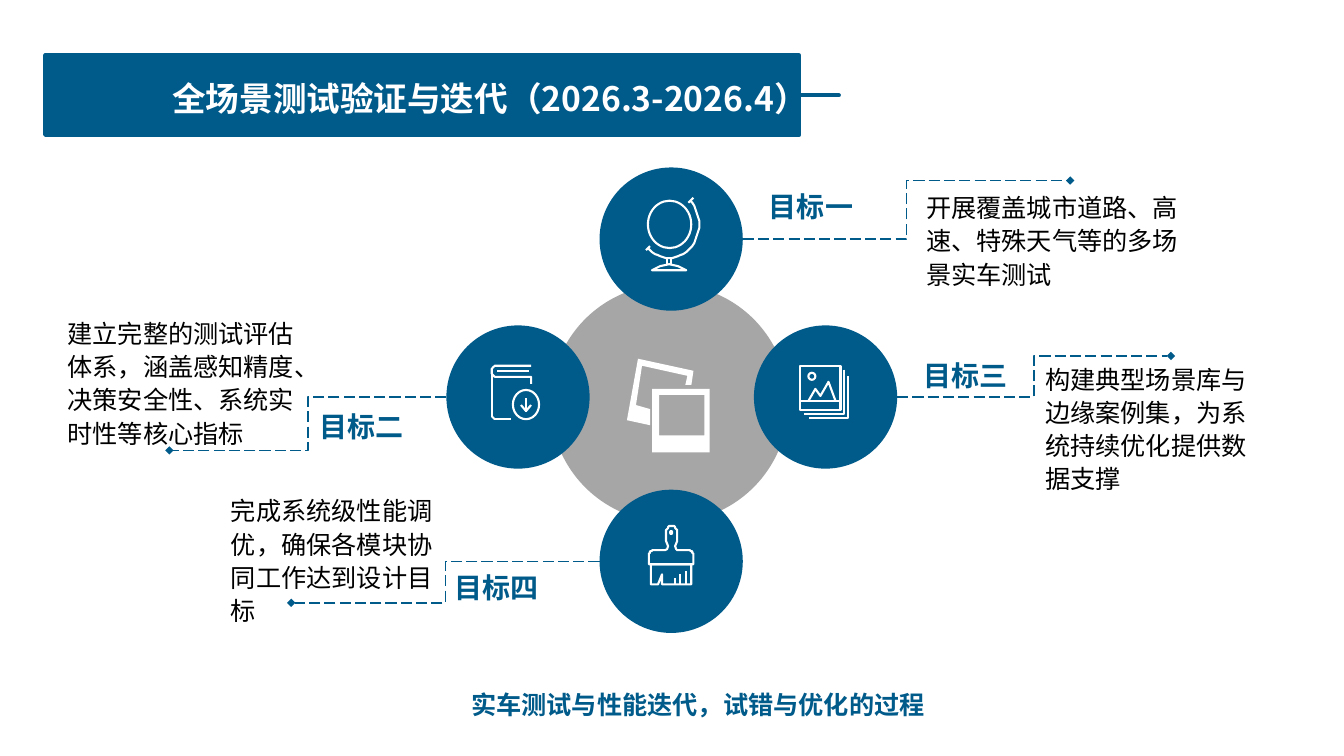
from math import cos, radians, sin

from lxml import etree
from pptx import Presentation
from pptx import util as u
from pptx.dml import color
from pptx.enum import dml, shapes, text
from pptx.oxml import ns

COLORS = {"blue": "005A8A", "grey": "A6A6A6", "white": "FFFFFF", "black": "000000"}
FONT = "Noto Sans CJK SC"
GRID = u.Cm(2.54) / 100  # unit of the icon drawings
CIRCLE = 3.61
HUB = 6.0

TITLE_STYLE = {"size": u.Pt(24), "bold": True}
LABEL_STYLE = {"size": u.Pt(20), "bold": True}
DETAIL_STYLE = {"size": u.Pt(18), "bold": False}
CAPTION_STYLE = {"size": u.Pt(18), "bold": True}


def rgb(name):
    return color.RGBColor.from_string(COLORS[name])


def arc(cx, cy, rx, ry, start, end, steps=16):
    """Points along an ellipse; degrees run clockwise from the right."""
    angles = [radians(start + (end - start) * i / steps) for i in range(steps + 1)]
    return [(cx + rx * cos(a), cy + ry * sin(a)) for a in angles]


# Strokes: (kind, geometry), measured in grid units from the circle's corner
GLOBE = [
    ("open", [(67, 90), (67, 96)]),
    ("open", [(71, 90), (71, 96)]),
    ("closed", [(86, 102), (78, 98), (69, 96), (60, 98), (52, 102)]),
    ("oval", (48, 33, 43, 47)),
    ("open", arc(69, 56.5, 29.7, 33.2, -45, 135, 32)),
    ("open", [(46, 82), (50, 78)]),
    ("open", [(88, 35), (93, 30)]),
]
BOOK = [
    ("open", [(64, 93), *arc(49, 89, 4, 4, 90, 180), (45, 45)]),
    ("open", [(50, 45), (82, 45)]),
    ("open", [(84, 40), *arc(50, 45.5, 5, 5.5, 270, 90), (84, 51), (84, 58)]),
    ("open", [(79, 85), (79, 72)]),
    ("open", [(74, 79), (79, 85), (84, 79)]),
    ("oval", (66, 64, 26, 29)),
]
GALLERY = [
    ("open", [(93, 50), (93, 92), (55, 92)]),
    ("open", [(89, 44), (89, 88), (50, 88)]),
    ("rect", (46, 40, 40, 44)),
    ("open", [(81, 75), (74, 56), (66, 70), (61, 63), (54, 75)]),
    ("oval", (54, 47, 7, 7)),
    ("open", [(86, 75), (46, 75)]),
]
BRUSH = [
    ("closed", [(77, 60), (76, 59), (75, 56), (77, 51), *arc(71.5, 42, 5.5, 6, 0, -180),
                (66, 51), (68, 56), (67, 59), (65, 60), *arc(54, 65, 5, 5, 270, 180),
                (49, 74), (93, 74), *arc(88, 65, 5, 5, 0, -90)]),
    ("closed", [(91, 94), (62, 94), (62, 84), (58, 94), (51, 94), (51, 74), (91, 74)]),
    *[("open", [(x, top), (x, 94)]) for x, top in ((86, 81), (80, 84), (75, 88))],
    ("oval", (70, 41, 2, 3)),
]
PHOTOS = [
    [[(158, 167), (101, 167), (101, 104), (158, 104)],
     [(108, 150), (153, 150), (153, 110), (108, 110)]],
    [[(87, 74), (142, 86), (140, 100), (134, 100), (136, 91), (91, 81),
      (85, 120), (99, 124), (99, 140), (76, 135)]],
]

# circle corner; then label, detail (left, top, width) and leader end from that corner
GOALS = [
    {"circle": (15.11, 4.22), "icon": GLOBE, "label": "目标一", "label_at": (4.04, 0.43),
     "detail": "开展覆盖城市道路、高速、特殊天气等的多场景实车测试",
     "detail_at": (8, 0.43, 7.14), "leader_end": (11.86, 0.33)},
    {"circle": (11.25, 8.2), "icon": BOOK, "label": "目标二", "label_at": (-3.43, 1.99),
     "detail": "建立完整的测试评估体系，涵盖感知精度、决策安全性、系统实时性等核心指标",
     "detail_at": (-9.78, -0.38, 6.6), "leader_end": (-6.98, 3.15)},
    {"circle": (19, 8.2), "icon": GALLERY, "label": "目标三", "label_at": (4.04, 0.72),
     "detail": "构建典型场景库与边缘案例集，为系统持续优化提供数据支撑",
     "detail_at": (7.11, 0.77, 5.64), "leader_end": (10.51, 0.77)},
    {"circle": (15.11, 12.34), "icon": BRUSH, "label": "目标四", "label_at": (-3.88, 1.91),
     "detail": "完成系统级性能调优，确保各模块协同工作达到设计目标",
     "detail_at": (-9.52, -0.05, 6.1), "leader_end": (-7.77, 2.85)},
]


def paint(part, fill=None, line=None, width=1.5):
    part.shadow.inherit = False
    if fill:
        part.fill.solid()
        part.fill.fore_color.rgb = rgb(fill)
    else:
        part.fill.background()
    if line:
        part.line.color.rgb = rgb(line)
        part.line.width = u.Pt(width)
    else:
        part.line.fill.background()


def paint_connector(connector, ink, width):
    connector.line.color.rgb = rgb(ink)
    connector.line.width = u.Pt(width)
    etree.SubElement(connector.element.spPr, ns.qn("a:effectLst"))


def outline(canvas, contours, left, top, closed=True, scale=GRID):
    first, *holes = contours
    builder = canvas.build_freeform(*first[0], scale=scale)
    builder.add_line_segments(first[1:], close=closed)
    for hole in holes:
        builder.move_to(*hole[0])
        builder.add_line_segments(hole[1:], close=closed)
    return builder.convert_to_shape(u.Cm(left), u.Cm(top))


def write(box, words, ink, style, **paragraph_format):
    frame = box.text_frame
    frame.word_wrap = True
    frame.vertical_anchor = text.MSO_ANCHOR.TOP
    frame.margin_left = frame.margin_right = u.Cm(0.23)
    frame.text = words
    paragraph = frame.paragraphs[0]
    for key, value in paragraph_format.items():
        setattr(paragraph, key, value)
    font = paragraph.runs[0].font
    for key, value in {"name": FONT, **style}.items():
        setattr(font, key, value)
    font.color.rgb = rgb(ink)
    etree.SubElement(paragraph.runs[0]._r.rPr, ns.qn("a:ea"), typeface=FONT)


def add_text(slide, left, top, width, height, *content, **paragraph_format):
    box = slide.shapes.add_textbox(*map(u.Cm, (left, top, width, height)))
    write(box, *content, **paragraph_format)


def add_circle(slide, left, top, size, fill):
    circle = slide.shapes.add_shape(shapes.MSO_SHAPE.OVAL, *map(u.Cm, (left, top, size, size)))
    paint(circle, fill)


def add_banner(slide, left, top, width, height):
    """Rounded banner with the slide title on it."""
    rx, ry = 2.1, height / 2
    edge = arc(rx, ry, rx, ry, 90, 270, 40) + arc(width - rx, ry, rx, ry, -90, 90, 40)
    paint(outline(slide.shapes, [edge], left, top, scale=u.Cm(1)), "blue", "blue", 3)
    title = slide.shapes.title
    place = {"left": left + 2.97, "top": top + 0.43, "width": 20.2, "height": 1.27}
    for key, value in place.items():
        setattr(title, key, u.Cm(value))
    write(title, "全场景测试验证与迭代（2026.3-2026.4）", "white", TITLE_STYLE,
          alignment=text.PP_ALIGN.LEFT)
    title.text_frame.auto_size = text.MSO_AUTO_SIZE.NONE
    title.element.getparent().append(title.element)


def add_hub(slide, left, top):
    add_circle(slide, left, top, HUB, "grey")
    photos = slide.shapes.add_group_shape().shapes
    for contours in PHOTOS:
        paint(outline(photos, contours, left, top), "white")


def add_icon(slide, left, top, strokes):
    canvas = slide.shapes.add_group_shape().shapes
    presets = {"oval": shapes.MSO_SHAPE.OVAL, "rect": shapes.MSO_SHAPE.RECTANGLE}
    x0, y0 = u.Cm(left), u.Cm(top)
    for kind, geometry in strokes:
        if kind in presets:
            x, y, width, height = (round(value * GRID) for value in geometry)
            paint(canvas.add_shape(presets[kind], x0 + x, y0 + y, width, height), line="white")
        elif len(geometry) == 2:
            ends = [origin + round(value * GRID)
                    for point in geometry for origin, value in zip((x0, y0), point)]
            straight = canvas.add_connector(shapes.MSO_CONNECTOR.STRAIGHT, *ends)
            paint_connector(straight, "white", 1.5)
        else:
            paint(outline(canvas, [geometry], left, top, kind == "closed"), line="white")


def add_leader(slide, left, top, end):
    """Dashed elbow line from the circle's side to a diamond tip."""
    start_x = left + (CIRCLE if end[0] > 0 else 0)
    points = (start_x, top + CIRCLE / 2, left + end[0], top + end[1])
    leader = slide.shapes.add_connector(shapes.MSO_CONNECTOR.ELBOW, *map(u.Cm, points))
    paint_connector(leader, "blue", 1)
    leader.line.dash_style = dml.MSO_LINE.LONG_DASH
    etree.SubElement(leader.line._get_or_add_ln(), ns.qn("a:tailEnd"), type="diamond")


def add_goal(slide, goal):
    left, top = goal["circle"]
    add_circle(slide, left, top, CIRCLE, "blue")
    add_icon(slide, left, top, goal["icon"])
    add_leader(slide, left, top, goal["leader_end"])
    dx, dy = goal["label_at"]
    add_text(slide, left + dx, top + dy, 3.89, 1.09, goal["label"], "blue", LABEL_STYLE)
    dx, dy, width = goal["detail_at"]
    add_text(slide, left + dx, top + dy, width, 3.63, goal["detail"], "black", DETAIL_STYLE,
             line_spacing=1.1)


def main():
    deck = Presentation()
    deck.slide_width, deck.slide_height = u.Cm(33.87), u.Cm(19.05)
    slide = deck.slides.add_slide(deck.slide_layouts[5])
    add_hub(slide, 13.87, 7.16)
    for goal in GOALS:
        add_goal(slide, goal)
    add_banner(slide, 1.14, 1.4, 19.51, 2.08)
    add_text(slide, 10.21, 16.87, 14.76, 1.3, "实车测试与性能迭代，试错与优化的过程", "blue",
             CAPTION_STYLE, alignment=text.PP_ALIGN.CENTER, line_spacing=1.5,
             space_after=u.Pt(6))
    deck.save("out.pptx")


if __name__ == "__main__":
    main()
